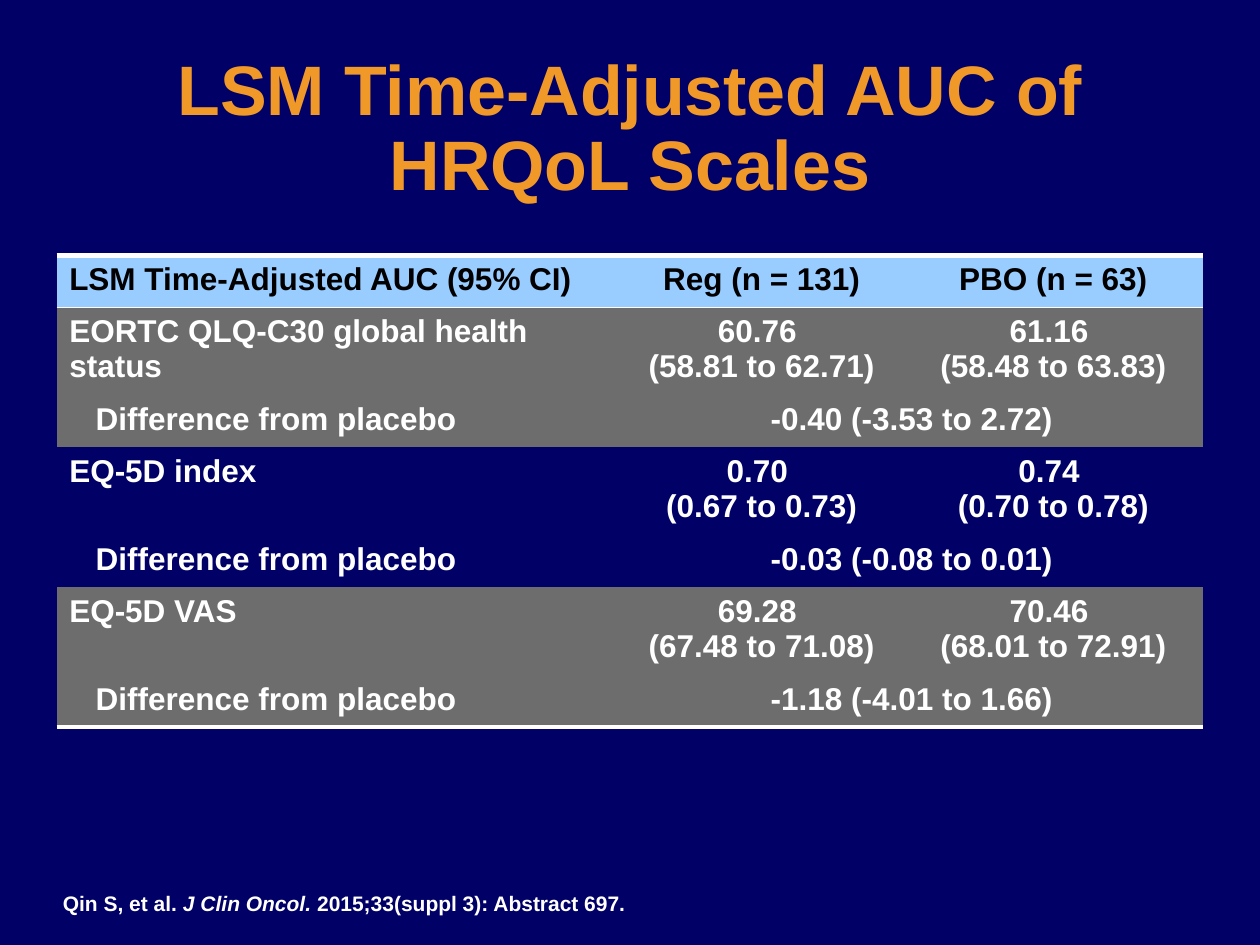
from dataclasses import dataclass

from lxml import etree
from pptx import Presentation
from pptx.dml.color import RGBColor
from pptx.enum.text import MSO_ANCHOR, PP_ALIGN
from pptx.oxml import parse_xml
from pptx.oxml.ns import nsdecls, qn
from pptx.util import Inches, Pt

CENTER, LEFT = PP_ALIGN.CENTER, PP_ALIGN.LEFT
MIDDLE = MSO_ANCHOR.MIDDLE


@dataclass(frozen=True)
class Theme:
    font: str = "Arial"
    background: str = "000066"
    title: str = "F09828"
    header: str = "99CCFF"
    band: str = "6D6D6D"
    dark: str = "000000"
    light: str = "FFFFFF"
    title_size: int = 40
    table_size: int = 18
    source_size: int = 12


@dataclass(frozen=True)
class Scale:
    name: str
    regimen: str
    placebo: str
    difference: str


THEME = Theme()
HEADINGS = ("LSM Time-Adjusted AUC (95% CI)", "Reg (n = 131)", "PBO (n = 63)")
SCALES = (
    Scale("EORTC QLQ-C30 global health status", "60.76 \n(58.81 to 62.71)",
          "61.16 \n(58.48 to 63.83)", "-0.40 (-3.53 to 2.72)"),
    Scale("EQ-5D index", "0.70 \n(0.67 to 0.73)",
          "0.74 \n(0.70 to 0.78)", "-0.03 (-0.08 to 0.01)"),
    Scale("EQ-5D VAS", "69.28 \n(67.48 to 71.08)",
          "70.46 \n(68.01 to 72.91)", "-1.18 (-4.01 to 1.66)"),
)
SOURCE = (("Qin S, et al. ", False), ("J Clin Oncol.", True),
          (" 2015;33(suppl 3): Abstract 697.", False))
COLUMN_WIDTHS = (4.47, 2.25, 2.38)
SINGLE_ROW, DOUBLE_ROW = 0.41, 0.66
DIFFERENCE_INDENT = 0.21


def style_font(font, size: int, color: str) -> None:
    font.name, font.size, font.bold = THEME.font, Pt(size), True
    font.color.rgb = RGBColor.from_string(color)


def add_text_shadow(run) -> None:
    shadow = parse_xml(
        f'<a:effectLst {nsdecls("a")}><a:outerShdw dist="35921" dir="2700000">'
        f'<a:srgbClr val="{THEME.dark}"/></a:outerShdw></a:effectLst>')
    run.font.fill._xPr.find(qn("a:solidFill")).addnext(shadow)


def set_borders(cell, top: float = 0, bottom: float = 0) -> None:
    """Draw the rules of the given point widths and hide every other edge."""
    properties = cell._tc.get_or_add_tcPr()
    edges = (("lnL", 0), ("lnR", 0), ("lnT", top), ("lnB", bottom))
    for position, (tag, width) in enumerate(edges):
        line = etree.Element(qn(f"a:{tag}"), w=str(int(Pt(width))))
        if width:
            fill = etree.SubElement(line, qn("a:solidFill"))
            etree.SubElement(fill, qn("a:srgbClr"), val=THEME.light)
        else:
            etree.SubElement(line, qn("a:noFill"))
        properties.insert(position, line)


def fill_row(table, row: int, texts: tuple[str, ...], fill: str | None,
             color: str, top: float = 0, bottom: float = 0) -> None:
    for column, text in enumerate(texts):
        cell = table.cell(row, column)
        if fill:
            cell.fill.solid()
            cell.fill.fore_color.rgb = RGBColor.from_string(fill)
        else:
            cell.fill.background()
        set_borders(cell, top, bottom)
        cell.text_frame.text = text
        for para in cell.text_frame.paragraphs:
            para.alignment = CENTER if column else LEFT
            style_font(para.font, THEME.table_size, color)
            for run in para.runs:
                style_font(run.font, THEME.table_size, color)


def add_title(slide) -> None:
    box = slide.shapes.add_textbox(Inches(0.37), Inches(0.41), Inches(9.26), Inches(1.25))
    frame = box.text_frame
    frame.word_wrap, frame.vertical_anchor = True, MIDDLE
    frame.text = "LSM Time-Adjusted AUC of HRQoL Scales"
    para = frame.paragraphs[0]
    para.alignment, para.line_spacing = CENTER, 0.9
    style_font(para.runs[0].font, THEME.title_size, THEME.title)
    add_text_shadow(para.runs[0])


def add_scale_table(slide) -> None:
    heights = (SINGLE_ROW,) + (DOUBLE_ROW, SINGLE_ROW) * len(SCALES)
    table = slide.shapes.add_table(
        len(heights), len(COLUMN_WIDTHS), Inches(0.45), Inches(2.03),
        Inches(sum(COLUMN_WIDTHS)), Inches(sum(heights))).table
    table.first_row = table.horz_banding = False
    for column, width in zip(table.columns, COLUMN_WIDTHS):
        column.width = Inches(width)
    for row, height in zip(table.rows, heights):
        row.height = Inches(height)

    fill_row(table, 0, HEADINGS, THEME.header, THEME.dark, top=3, bottom=1)
    for index, scale in enumerate(SCALES):
        value_row = 2 * index + 1
        difference_row = value_row + 1
        fill = None if index % 2 else THEME.band
        fill_row(table, value_row, (scale.name, scale.regimen, scale.placebo),
                 fill, THEME.light, top=0 if index else 1)
        fill_row(table, difference_row,
                 ("Difference from placebo", scale.difference, ""), fill,
                 THEME.light, bottom=3 if scale is SCALES[-1] else 0)
        label = table.cell(difference_row, 0)
        label.margin_left = Inches(0.1 + DIFFERENCE_INDENT)
        table.cell(difference_row, 1).merge(table.cell(difference_row, 2))


def add_source(slide) -> None:
    box = slide.shapes.add_textbox(Inches(0.4), Inches(7.02), Inches(4.72), Inches(0.3))
    box.text_frame.word_wrap = False
    para = box.text_frame.paragraphs[0]
    for text, italic in SOURCE:
        run = para.add_run()
        run.text = text
        style_font(run.font, THEME.source_size, THEME.light)
        run.font.italic = italic


def main() -> None:
    deck = Presentation()
    deck.slide_width, deck.slide_height = Inches(10), Inches(7.5)
    slide = deck.slides.add_slide(deck.slide_layouts[6])
    slide.background.fill.solid()
    slide.background.fill.fore_color.rgb = RGBColor.from_string(THEME.background)
    add_title(slide)
    add_scale_table(slide)
    add_source(slide)
    deck.save("out.pptx")


if __name__ == "__main__":
    main()
